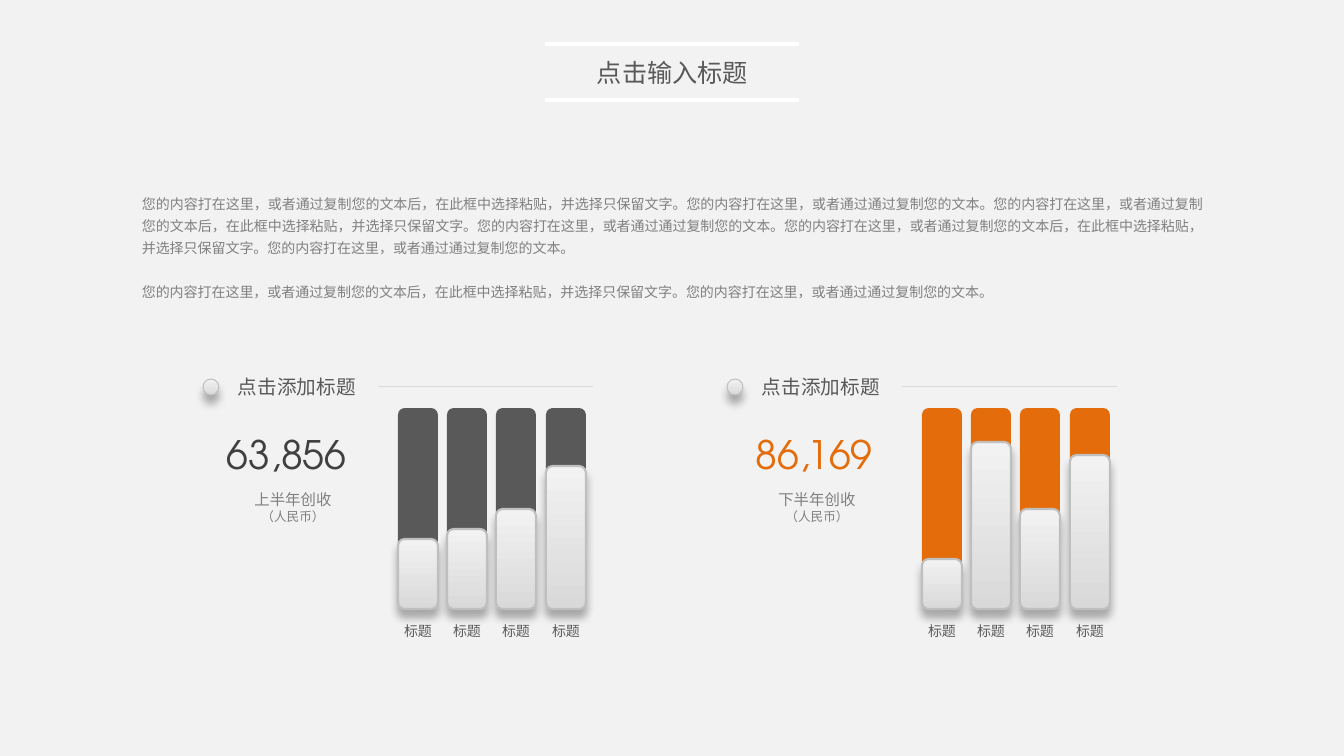
from lxml import etree
from pptx import Presentation
from pptx import util as u
from pptx.dml.color import RGBColor
from pptx.enum import shapes, text
from pptx.oxml import ns

PX = 914400 / 100.8
WHITE = RGBColor(0xFF, 0xFF, 0xFF)
PAPER = RGBColor(0xF2, 0xF2, 0xF2)
SILVER = RGBColor(0xD9, 0xD9, 0xD9)
EDGE = RGBColor(0xBF, 0xBF, 0xBF)
GREY = RGBColor(0x80, 0x80, 0x80)
SLATE = RGBColor(0x59, 0x59, 0x59)
CHARCOAL = RGBColor(0x40, 0x40, 0x40)
ORANGE = RGBColor(0xE4, 0x6C, 0x0A)
HAN = "Noto Sans CJK SC"
DIGITS = "TeX Gyre Adventor"
ALIGN = text.PP_ALIGN


def px(*values):
    return [u.Emu(round(value * PX)) for value in values]


def write(box, lines, color, align=ALIGN.LEFT, face=HAN, wrap=False):
    frame = box.text_frame
    frame.word_wrap = wrap
    frame.auto_size = text.MSO_AUTO_SIZE.NONE
    frame.vertical_anchor = text.MSO_ANCHOR.TOP
    frame.text = "\n".join(line for line, size in lines)
    for para, (line, size) in zip(frame.paragraphs, lines):
        para.alignment = align
        para.font.size = u.Pt(size)
        para.font.name = face
        para.font.color.rgb = color
        for props in para._p.iter(ns.qn("a:defRPr")):
            etree.SubElement(props, ns.qn("a:ea"), typeface=face)


deck = Presentation()
deck.slide_width, deck.slide_height = px(1344, 756)
page = deck.slides.add_slide(deck.slide_layouts[5])
page.background.fill.solid()
page.background.fill.fore_color.rgb = PAPER

title = page.shapes.title
title.left, title.top, title.width, title.height = px(586, 52, 173, 40)
write(title, [("点击输入标题", 18)], SLATE, ALIGN.CENTER)

SENTENCE = "您的内容打在这里，或者通过复制您的文本后，在此框中选择粘贴，并选择只保留文字。您的内容打在这里，或者通过通过复制您的文本。"
intro = page.shapes.add_textbox(*px(132, 186, 1080, 120))
write(intro, [(SENTENCE * 3, 10), (SENTENCE, 10)], GREY, ALIGN.JUSTIFY, wrap=True)
for para in intro.text_frame.paragraphs:
    para.line_spacing = 1.3
intro.text_frame.paragraphs[1].space_before = u.Pt(15.5)

panels = [
    (0, "63,856", 217, "上半年创收", CHARCOAL, SLATE, [70, 80, 100, 143]),
    (524, "86,169", 222, "下半年创收", ORANGE, ORANGE, [50, 167, 100, 154]),
]
rules = [(545, 799, y, WHITE, 2.25) for y in (44, 100)]
rules += [(panel[0] + 378, panel[0] + 593, 387, SILVER, 0.75) for panel in panels]
for start, end, y, color, weight in rules:
    rule = page.shapes.add_connector(shapes.MSO_CONNECTOR.STRAIGHT, *px(start, y, end, y))
    rule.line.color.rgb = color
    rule.line.width = u.Pt(weight)
    etree.SubElement(rule._element.spPr, ns.qn("a:effectLst"))

BAR_TOP, BAR_WIDTH, BAR_HEIGHT = 408, 40, 201
BAR_BOTTOM = BAR_TOP + BAR_HEIGHT
raised = []
for left, amount, amount_left, period, amount_color, bar_color, levels in panels:
    dot = page.shapes.add_shape(shapes.MSO_SHAPE.OVAL, *px(left + 203, 379, 16, 16))
    raised.append((dot, 0.75))
    heading = page.shapes.add_textbox(*px(left + 228, 370, 139, 34))
    write(heading, [("点击添加标题", 14)], SLATE)
    figure = page.shapes.add_textbox(*px(left + amount_left, 425, 154, 57))
    write(figure, [(amount, 28)], amount_color, face=DIGITS)
    caption = page.shapes.add_textbox(*px(left + 244, 485, 98, 44))
    write(caption, [(period, 11), ("（人民币）", 9)], GREY, ALIGN.CENTER)

    for index, level in enumerate(levels):
        x = left + 398 + index * 148 // 3
        track = page.shapes.add_shape(
            shapes.MSO_SHAPE.ROUNDED_RECTANGLE, *px(x, BAR_TOP, BAR_WIDTH, BAR_HEIGHT))
        track.shadow.inherit = False
        track.fill.solid()
        track.fill.fore_color.rgb = bar_color
        track.line.fill.background()
        bar = page.shapes.add_shape(
            shapes.MSO_SHAPE.ROUNDED_RECTANGLE, *px(x, BAR_BOTTOM - level, BAR_WIDTH, level))
        raised.append((bar, 1.5))
        label = page.shapes.add_textbox(*px(x - 4, 618, 48, 27))
        write(label, [("标题", 10)], SLATE, ALIGN.CENTER)

for shape, weight in raised:
    shape.fill.gradient()
    shape.fill.gradient_angle = 90
    for stop, color in zip(shape.fill.gradient_stops, (SILVER, PAPER)):
        stop.color.rgb = color
    shape.line.color.rgb = EDGE
    shape.line.width = u.Pt(weight)
    shape.shadow.inherit = False
    effects = shape._element.spPr.find(ns.qn("a:effectLst"))
    shadow = etree.SubElement(effects, ns.qn("a:outerShdw"), blurRad="76200",
                              dist="76200", dir="5400000", rotWithShape="0")
    black = etree.SubElement(shadow, ns.qn("a:srgbClr"), val="000000")
    etree.SubElement(black, ns.qn("a:alpha"), val="30000")

deck.save("out.pptx")
